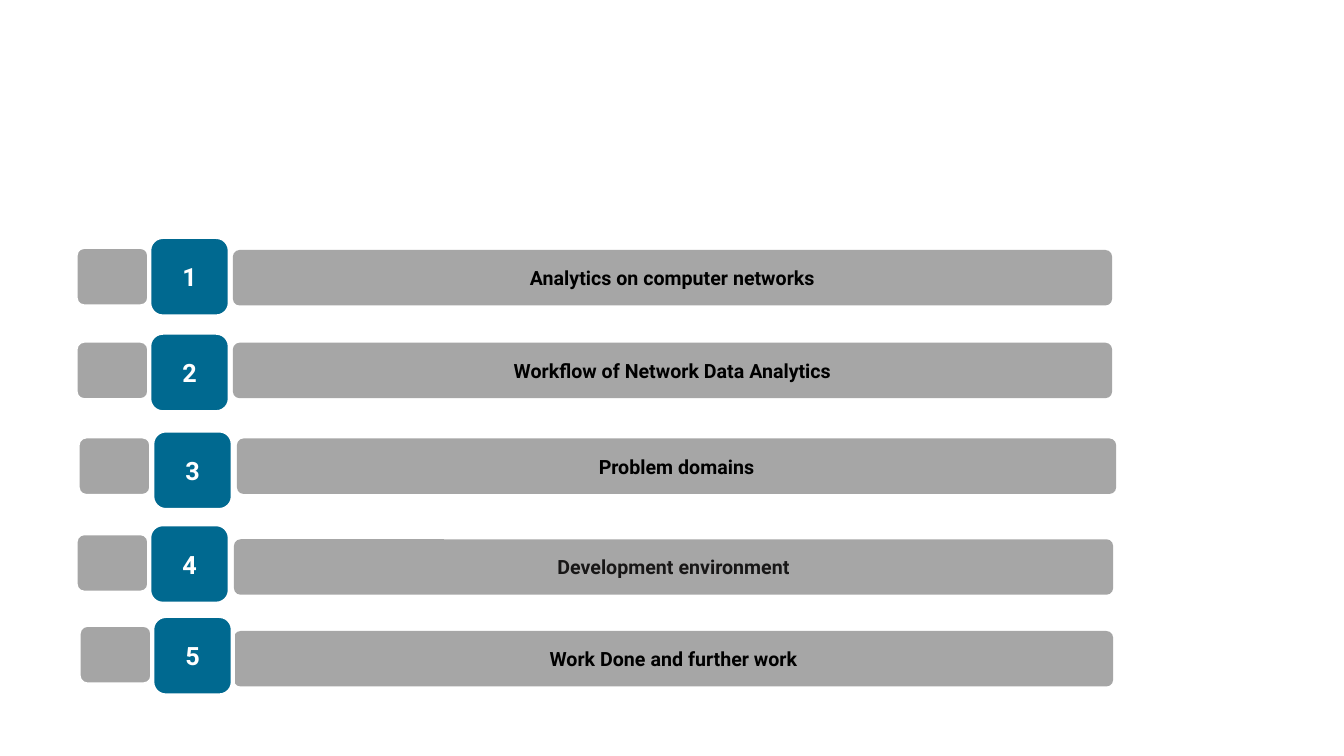
from pptx import Presentation
from pptx import util as u
from pptx.dml.color import RGBColor
from pptx.enum import shapes, text

TEAL = RGBColor(0x00, 0x69, 0x90)
TAB_GRAY = RGBColor(0xA5, 0xA5, 0xA5)
BAR_GRAY = RGBColor(0xA6, 0xA6, 0xA6)
WHITE = RGBColor(0xFF, 0xFF, 0xFF)
BLACK = RGBColor(0x00, 0x00, 0x00)
SOFT_BLACK = RGBColor(0x18, 0x17, 0x17)
FONT = "Roboto"

prs = Presentation()
prs.slide_width, prs.slide_height = u.Inches(13.33), u.Inches(7.5)
COL = prs.slide_width / 133.3
ROW = prs.slide_height / 75

# Sizes in grid columns and rows
TAB_SIZE = (7.1, 5.7)
NUMBER_SIZE = (8, 7.9)
BAR_SIZE = (87.2, 5.5)

# Label, text colour, then left and top of the tab, the number and the bar
AGENDA = [
    ("Analytics on computer networks", BLACK, (7.6, 24.6), (14.8, 23.5), (23.1, 24.8)),
    ("Workflow of Network Data Analytics", BLACK, (7.6, 33.9), (14.8, 33), (23.1, 34)),
    ("Problem domains", BLACK, (7.8, 43.4), (15.1, 42.7), (23.5, 43.5)),
    ("Development environment", SOFT_BLACK, (7.6, 53), (14.8, 52), (23.2, 53.5)),
    ("Work Done and further work", BLACK, (7.9, 62.1), (15.1, 61.1), (23.2, 62.6)),
]


def add_box(parent, pos, size, fill, corner, outline=None):
    """Add a rounded box; pos and size are in grid columns and rows."""
    sp = parent.add_shape(
        shapes.MSO_SHAPE.ROUNDED_RECTANGLE,
        round(pos[0] * COL), round(pos[1] * ROW),
        round(size[0] * COL), round(size[1] * ROW))
    sp.adjustments[0] = corner
    sp.shadow.inherit = False
    sp.fill.solid()
    sp.fill.fore_color.rgb = fill
    if outline:
        sp.line.color.rgb = WHITE
        sp.line.width = u.Pt(outline)
    else:
        sp.line.fill.background()
    return sp


def set_label(sp, label, size, color, wrap):
    tf = sp.text_frame
    tf.text = label
    tf.word_wrap = wrap
    tf.vertical_anchor = text.MSO_ANCHOR.MIDDLE
    p = tf.paragraphs[0]
    p.alignment = text.PP_ALIGN.CENTER
    font = p.runs[0].font
    font.name, font.size, font.bold = FONT, u.Pt(size), True
    font.color.rgb = color


def add_agenda_item(s, number, label, color, tab_pos, number_pos, bar_pos):
    bar = add_box(s.shapes, bar_pos, BAR_SIZE, BAR_GRAY, 0.12)
    set_label(bar, label, 14, color, True)
    marker = s.shapes.add_group_shape()
    badge = add_box(marker.shapes, number_pos, NUMBER_SIZE, TEAL, 0.17, 3)
    set_label(badge, str(number), 18, WHITE, False)
    add_box(marker.shapes, tab_pos, TAB_SIZE, TAB_GRAY, 0.13, 1.5)


def add_agenda_slide(prs):
    s = prs.slides.add_slide(prs.slide_layouts[6])
    for number, item in enumerate(AGENDA, 1):
        add_agenda_item(s, number, *item)


add_agenda_slide(prs)
prs.save("out.pptx")
